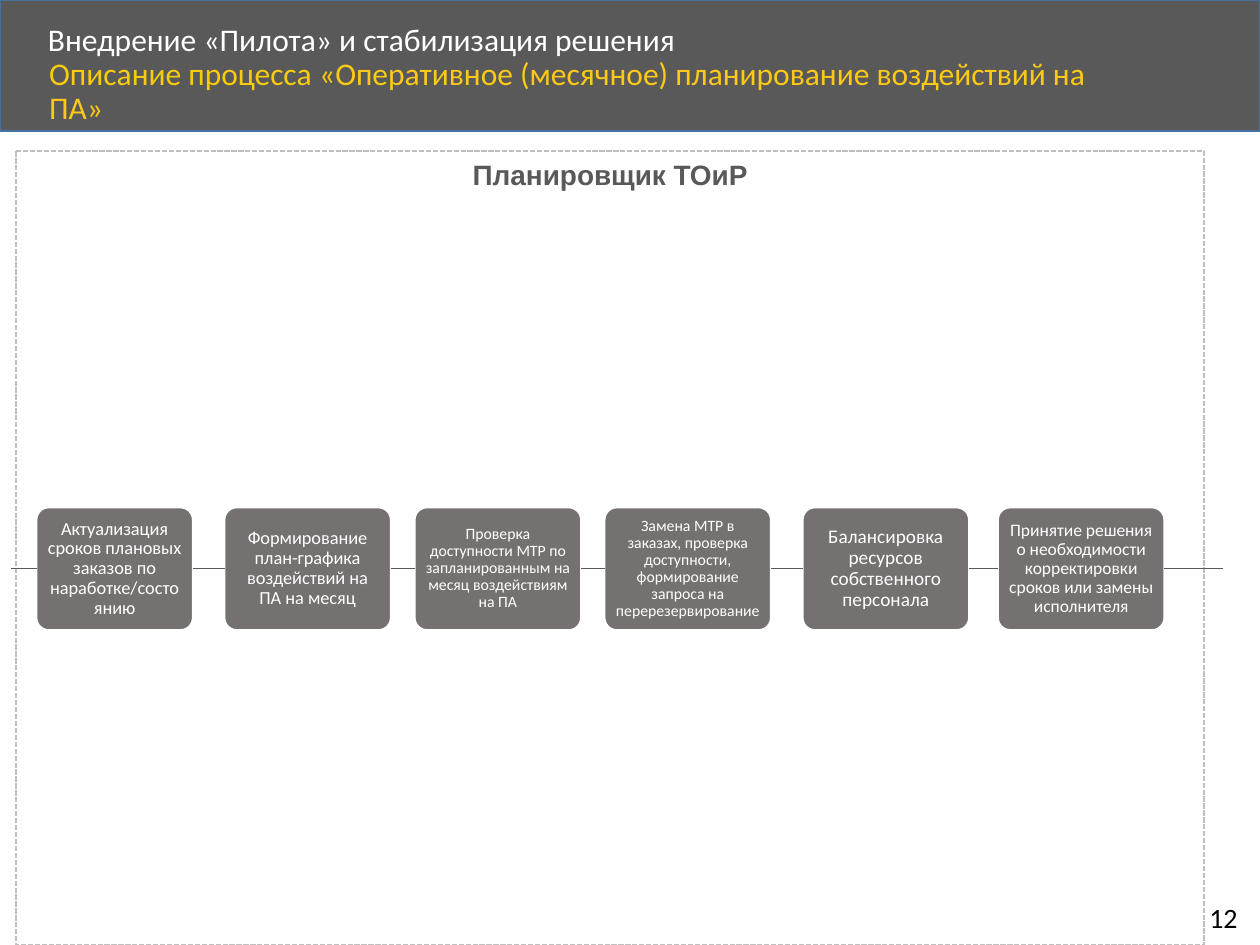
from lxml.etree import SubElement
from pptx import Presentation
from pptx.dml.color import RGBColor
from pptx.enum.dml import MSO_LINE
from pptx.enum.shapes import MSO_CONNECTOR, MSO_SHAPE
from pptx.enum.text import MSO_ANCHOR, MSO_AUTO_SIZE, PP_ALIGN
from pptx.oxml.ns import qn
from pptx.util import Pt

HUES = {
    "dark": "595959", "edge": "43739E", "box": "767171", "dash": "BFBFBF",
    "white": "FFFFFF", "black": "000000", "gold": "F6CC0C", "amber": "FCC917",
}
STEPS = [
    (20.9, 89.3, 10.5, "Актуализация сроков плановых заказов по наработке/состоянию"),
    (128.3, 95, 10.5, "Формирование план-графика воздействий на ПА на месяц"),
    (237, 95, 9, "Проверка доступности МТР по запланированным на месяц воздействиям на ПА"),
    (345.5, 95, 9, "Замена МТР в заказах, проверка доступности, формирование запроса на перерезервирование"),
    (458.7, 95, 11, "Балансировка ресурсов собственного персонала"),
    (570.3, 95, 10, "Принятие решения о необходимости корректировки сроков или замены исполнителя"),
]
TOP, HIGH = 290, 70
MID = TOP + HIGH / 2


def hue(name):
    return RGBColor.from_string(HUES[name])


def style(para, size, color, align=PP_ALIGN.LEFT, face="Calibri", space=0.9):
    para.alignment = align
    para.line_spacing = space
    para.space_before = Pt(0)
    para.font.size = Pt(size)
    para.font.name = face
    para.font.color.rgb = hue(color)


deck = Presentation()
deck.slide_width, deck.slide_height = Pt(720), Pt(540)
slide = deck.slides.add_slide(deck.slide_layouts[1])
shapes = slide.shapes

band = shapes.add_shape(MSO_SHAPE.RECTANGLE, Pt(0), Pt(0), Pt(720), Pt(75))
band.shadow.inherit = False
band.fill.solid()
band.fill.fore_color.rgb = hue("dark")
band.line.color.rgb = hue("edge")
band.line.width = Pt(1)
shapes.title.element.addprevious(band.element)

title, body = shapes.title, slide.placeholders[1]
for item, left, top, wide, high in (
    (title, 20.2, 10, 581, 27.5),
    (body, 20.9, 29.5, 624, 32.5),
):
    item.left, item.top, item.width, item.height = Pt(left), Pt(top), Pt(wide), Pt(high)
    item.text_frame.auto_size = MSO_AUTO_SIZE.NONE
    item.text_frame.word_wrap = True

title.text_frame.text = "Внедрение «Пилота» и стабилизация решения"
title.text_frame.vertical_anchor = MSO_ANCHOR.MIDDLE
style(title.text_frame.paragraphs[0], 18, "white")

para = body.text_frame.paragraphs[0]
props = para._p.get_or_add_pPr()
props.set("marL", "0")
props.set("indent", "0")
SubElement(props, qn("a:buNone"))
style(para, 18, "gold")
para.add_run().text = "Описание процесса "
run = para.add_run()
run.text = "«Оперативное (месячное) планирование воздействий на ПА»"
run.font.color.rgb = hue("amber")

frame = shapes.add_shape(MSO_SHAPE.ROUNDED_RECTANGLE, Pt(9.2), Pt(86.5), Pt(679), Pt(453.5))
frame.shadow.inherit = False
frame.adjustments[0] = 0
frame.fill.background()
frame.line.color.rgb = hue("dash")
frame.line.width = Pt(1)
frame.line.dash_style = MSO_LINE.SQUARE_DOT
frame.text_frame.text = "Планировщик ТОиР"
frame.text_frame.vertical_anchor = MSO_ANCHOR.TOP
para = frame.text_frame.paragraphs[0]
style(para, 16, "dark", PP_ALIGN.CENTER, "Arial", 1.0)
para.font.bold = True

boxes = []
for left, wide, size, words in STEPS:
    box = shapes.add_shape(MSO_SHAPE.ROUNDED_RECTANGLE, Pt(left), Pt(TOP), Pt(wide), Pt(HIGH))
    box.shadow.inherit = False
    box.adjustments[0] = 0.1
    box.fill.solid()
    box.fill.fore_color.rgb = hue("box")
    box.line.color.rgb = hue("white")
    box.line.width = Pt(1)
    text = box.text_frame
    text.margin_left = text.margin_right = Pt(4)
    text.margin_top = text.margin_bottom = Pt(2)
    text.vertical_anchor = MSO_ANCHOR.MIDDLE
    text.word_wrap = True
    text.text = words
    style(text.paragraphs[0], size, "white", PP_ALIGN.CENTER)
    boxes.append(box)

for prev, box in zip([None] + boxes, boxes + [None]):
    start = prev.left + prev.width if prev else Pt(6.5)
    end = box.left if box else Pt(699)
    link = shapes.add_connector(MSO_CONNECTOR.STRAIGHT, start, Pt(MID), end, Pt(MID))
    if prev:
        link.begin_connect(prev, 3)
    if box:
        link.end_connect(box, 1)
    link.line.color.rgb = hue("dark")
    link.line.width = Pt(0.5)
    SubElement(link.element.spPr, qn("a:effectLst"))

page = shapes.add_textbox(Pt(684), Pt(511), Pt(33), Pt(26.5))
page.text_frame.word_wrap = False
page.text_frame.text = "12"
style(page.text_frame.paragraphs[0], 16, "black", space=1.0)

deck.save("out.pptx")
